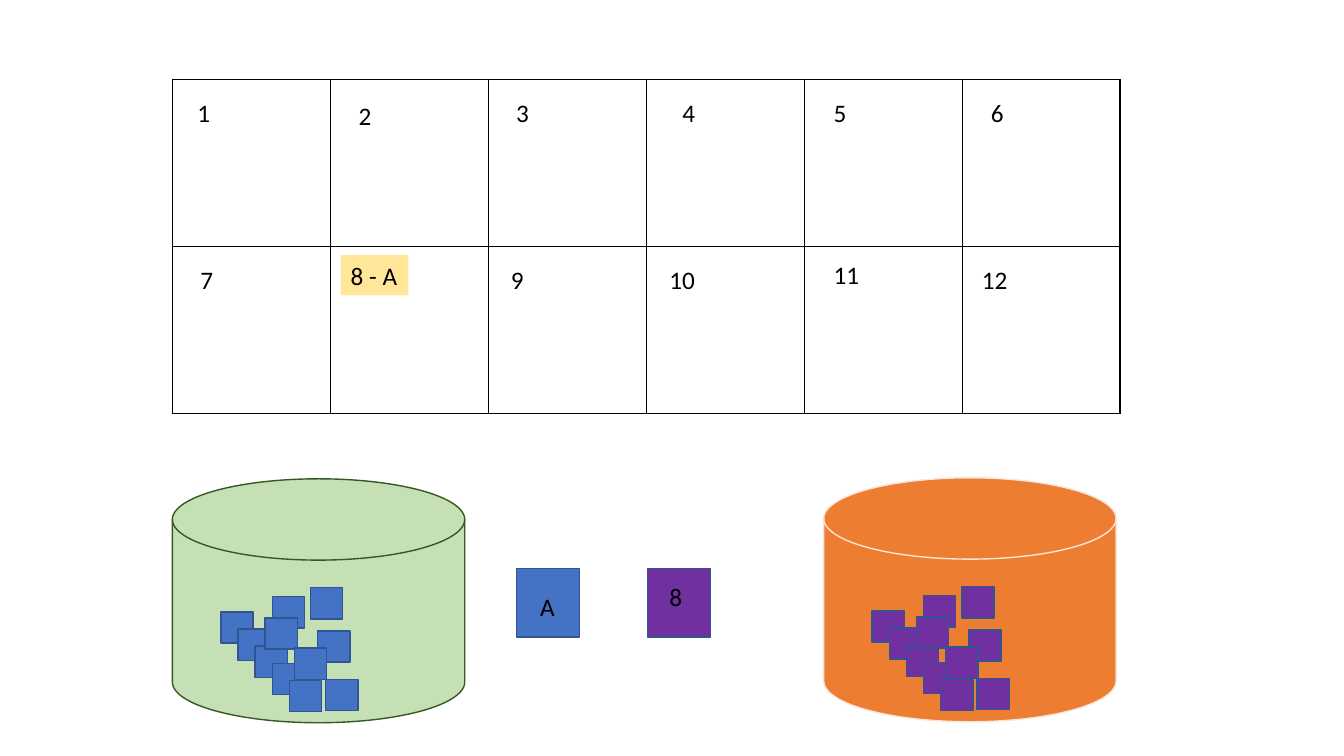
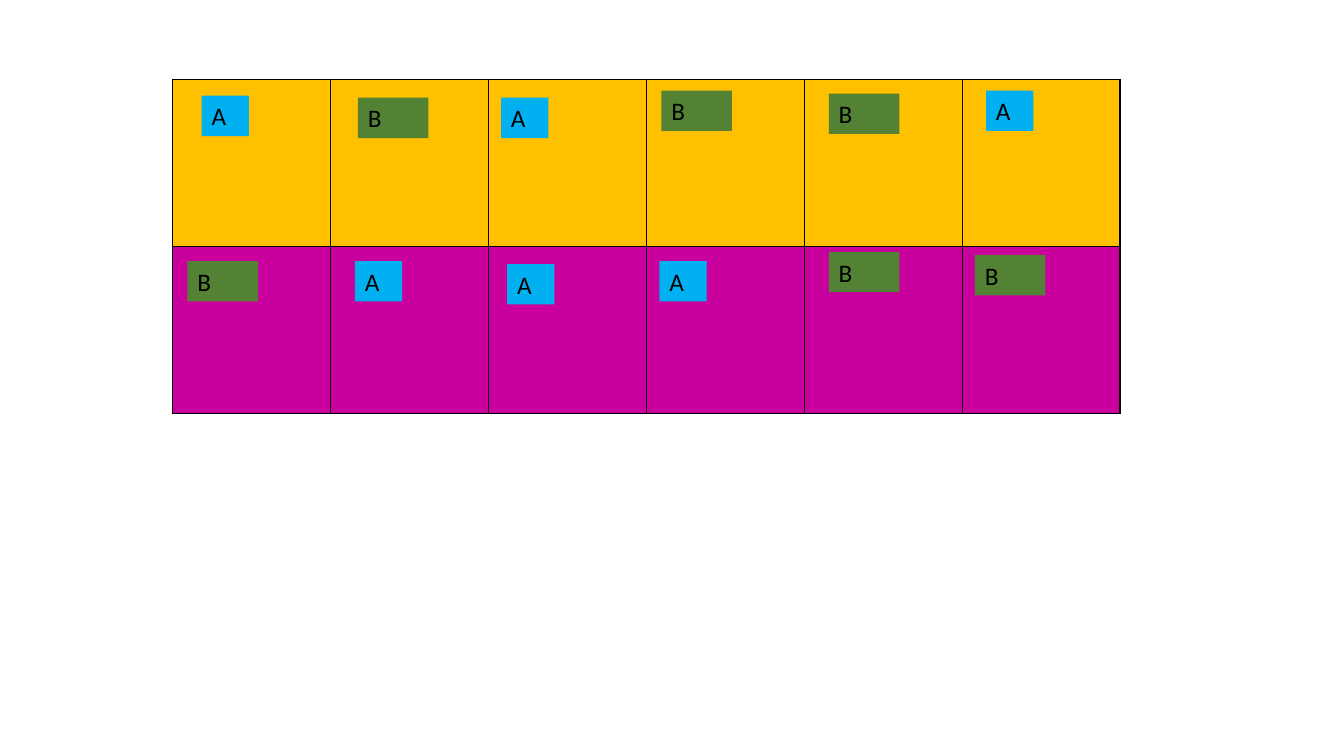
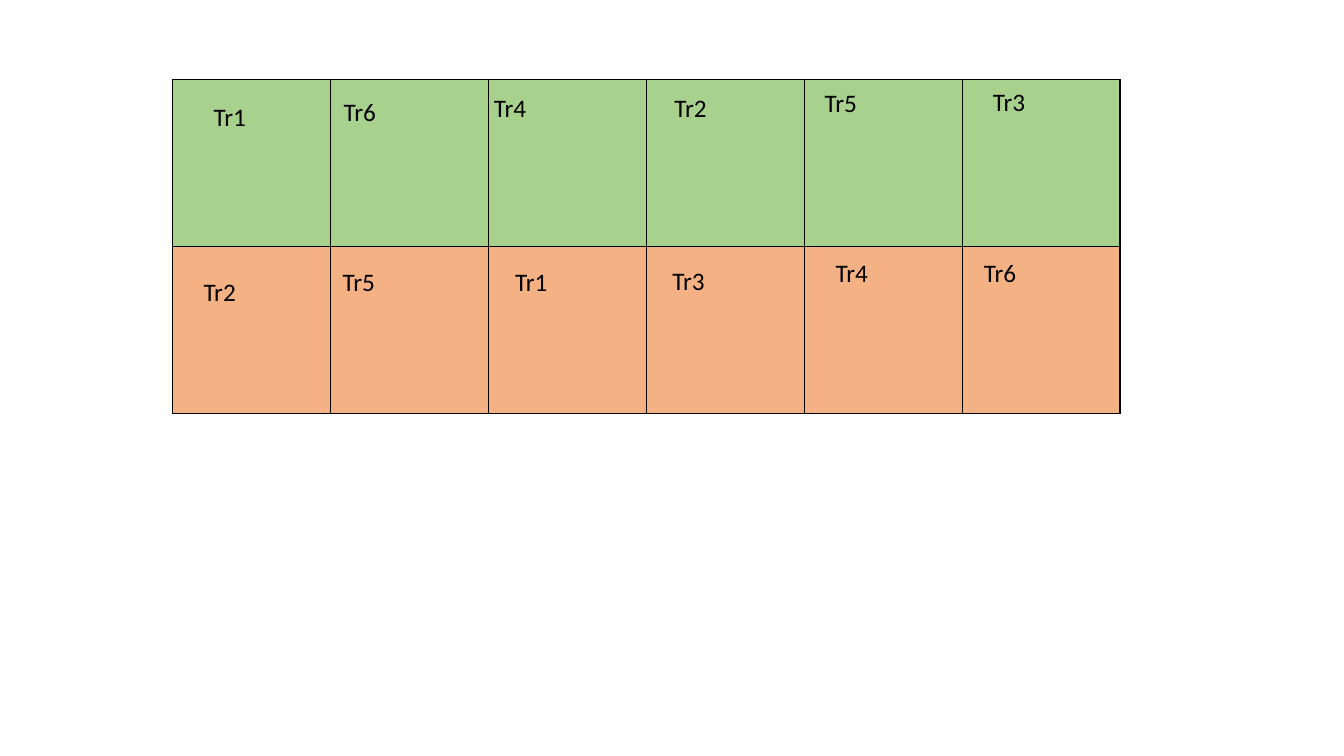
"""Build three slides that show the steps of a plot randomisation."""
from pptx import Presentation
from pptx.dml.color import RGBColor
from pptx.enum.shapes import MSO_SHAPE
from pptx.oxml import parse_xml
from pptx.oxml.ns import nsdecls
from pptx.util import Inches, Pt

BLACK = RGBColor(0x00, 0x00, 0x00)
GOLD = RGBColor(0xFF, 0xC0, 0x00)
PINK = RGBColor(0xC9, 0x00, 0x9D)
GREEN = RGBColor(0xA9, 0xD1, 0x8E)
PEACH = RGBColor(0xF4, 0xB1, 0x83)
CREAM = RGBColor(0xFF, 0xE6, 0x99)
SKY = RGBColor(0x00, 0xB0, 0xF0)
MOSS = RGBColor(0x54, 0x82, 0x35)
MINT = RGBColor(0xC5, 0xE0, 0xB4)
FOREST = RGBColor(0x38, 0x57, 0x23)
ORANGE = RGBColor(0xED, 0x7D, 0x31)
BLUSH = RGBColor(0xFB, 0xE5, 0xD6)
BLUE = RGBColor(0x44, 0x72, 0xC4)
PURPLE = RGBColor(0x70, 0x30, 0xA0)
EDGE = RGBColor(0x32, 0x54, 0x91)

COLS, ROWS = 6, 2
LEFT, TOP, WIDE, HIGH = 1.71, 0.79, 9.4, 3.31
CELL_W, CELL_H = WIDE / COLS, HIGH / ROWS
TAG_H = 0.4

# Each label: text, then its offset from the corner of its cell.
PLOTS = [
    [("1", 0.15, 0.13), ("2", 0.18, 0.16), ("3", 0.18, 0.13),
     ("4", 0.26, 0.13), ("5", 0.19, 0.13), ("6", 0.19, 0.13)],
    [("7", 0.18, 0.12), ("8 - A", 0.1, 0.08), ("9", 0.13, 0.12),
     ("10", 0.13, 0.12), ("11", 0.19, 0.07), ("12", 0.1, 0.12)],
]
GROUPS = [
    [("A", 0.29, 0.16), ("B", 0.27, 0.18), ("A", 0.13, 0.18),
     ("B", 0.15, 0.11), ("B", 0.24, 0.14), ("A", 0.24, 0.11)],
    [("B", 0.15, 0.14), ("A", 0.24, 0.14), ("A", 0.19, 0.17),
     ("A", 0.13, 0.14), ("B", 0.24, 0.05), ("B", 0.13, 0.08)],
]
TREATS = [
    [("Tr1", 0.31, 0.17), ("Tr6", 0.03, 0.12), ("Tr4", -0.04, 0.08),
     ("Tr2", 0.18, 0.08), ("Tr5", 0.1, 0.03), ("Tr3", 0.21, 0.02)],
    [("Tr2", 0.21, 0.24), ("Tr5", 0.02, 0.14), ("Tr1", 0.17, 0.14),
     ("Tr3", 0.16, 0.13), ("Tr4", 0.21, 0.05), ("Tr6", 0.12, 0.05)],
]
PLOT_TAGS = {"8 - A": (0.67, CREAM)}
GROUP_TAGS = {"A": (0.47, SKY), "B": (0.7, MOSS)}
GRIDS = [
    (PLOTS, (None, None), PLOT_TAGS, 0.46),
    (GROUPS, (GOLD, PINK), GROUP_TAGS, 0.47),
    (TREATS, (GREEN, PEACH), {}, 0.61),
]

STAIR = [(0.48 + 0.17 * i, 1.32 + 0.17 * i) for i in range(5)]
PILE = STAIR + [(1.44, 1.51), (0.99, 1.17), (1.37, 1.08),
                (1.52, 1.99), (0.92, 1.38), (1.21, 1.68)]
URNS = [
    (1.71, 4.75, MINT, FOREST, BLUE),
    (8.17, 4.74, ORANGE, BLUSH, PURPLE),
]
DRAWS = [
    (5.12, BLUE, "A", (5.26, 5.82, 0.34)),
    (6.42, PURPLE, "8", (6.54, 5.72, 0.46)),
]


def place(*box):
    return [Inches(round(side, 2)) for side in box]


def draw(slide, kind, box, fill, line):
    shape = slide.shapes.add_shape(kind, *place(*box))
    shape.shadow.inherit = False
    shape.fill.solid()
    shape.fill.fore_color.rgb = fill
    shape.line.color.rgb = line
    shape.line.width = Pt(1)


def label(slide, text, left, top, width, fill=None):
    box = slide.shapes.add_textbox(*place(left, top, width, TAG_H))
    if fill is not None:
        box.fill.solid()
        box.fill.fore_color.rgb = fill
    frame = box.text_frame
    frame.word_wrap = True
    frame.text = text
    font = frame.paragraphs[0].font
    font.name, font.size, font.color.rgb = "Calibri", Pt(18), BLACK


def paint(cell, fill):
    props = cell._tc.get_or_add_tcPr()
    for side in ("lnL", "lnR", "lnT", "lnB"):
        props.append(parse_xml(
            f'<a:{side} {nsdecls("a")} w="12700"><a:solidFill>'
            f'<a:srgbClr val="{BLACK}"/></a:solidFill></a:{side}>'))
    if fill is None:
        cell.fill.background()
    else:
        cell.fill.solid()
        cell.fill.fore_color.rgb = fill


def grid(slide, fills):
    frame = slide.shapes.add_table(
        ROWS, COLS, *place(LEFT, TOP, WIDE, HIGH))
    table = frame.table
    table.first_row = table.horz_banding = False
    for col in table.columns:
        col.width = Inches(CELL_W)
    for row, fill in zip(table.rows, fills):
        row.height = Inches(CELL_H)
        for cell in row.cells:
            paint(cell, fill)


def fill_in(slide, rows, tags, width):
    for r, row in enumerate(rows):
        for c, (text, dx, dy) in enumerate(row):
            size, fill = tags.get(text, (width, None))
            label(slide, text, LEFT + c * CELL_W + dx,
                  TOP + r * CELL_H + dy, size, fill)


def lots(slide):
    for left, top, fill, line, cube in URNS:
        draw(slide, MSO_SHAPE.FLOWCHART_MAGNETIC_DISK,
             (left, top, 2.9, 2.42), fill, line)
        for dx, dy in PILE:
            draw(slide, MSO_SHAPE.RECTANGLE,
                 (left + dx, top + dy, 0.32, 0.31), cube, EDGE)
    for left, fill, text, spot in DRAWS:
        draw(slide, MSO_SHAPE.RECTANGLE,
             (left, 5.64, 0.63, 0.68), fill, EDGE)
        label(slide, text, *spot)


deck = Presentation()
deck.slide_width, deck.slide_height = Inches(13.33), Inches(7.5)
slides = []
for rows, fills, tags, width in GRIDS:
    slide = deck.slides.add_slide(deck.slide_layouts[6])
    grid(slide, fills)
    fill_in(slide, rows, tags, width)
    slides.append(slide)
lots(slides[0])
deck.save("out.pptx")
